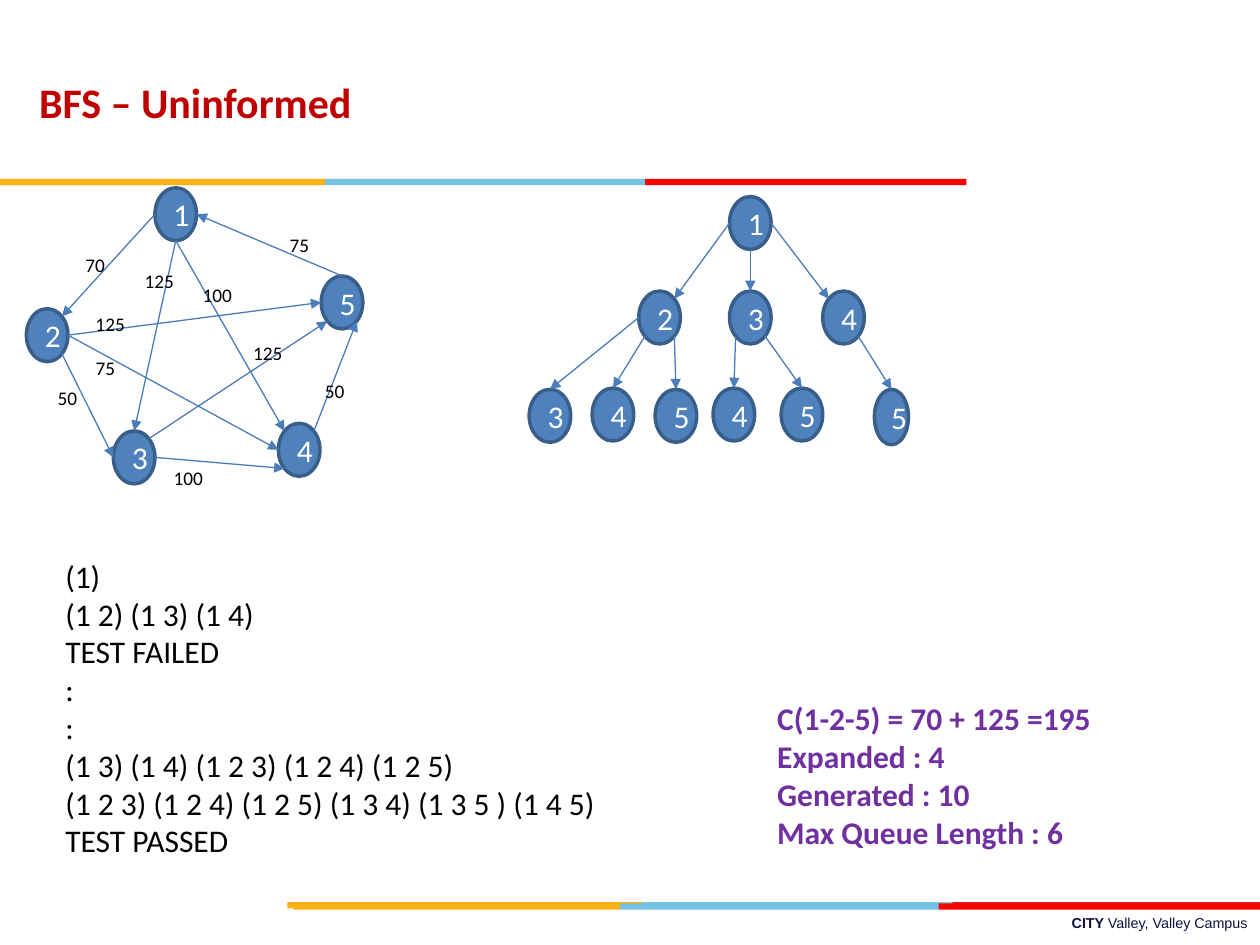
import math
from dataclasses import dataclass

from lxml import etree
from pptx import Presentation, util as u
from pptx.dml.color import RGBColor
from pptx.enum import shapes, text
from pptx.oxml.ns import qn


@dataclass(frozen=True)
class Theme:
    font: str = "Calibri"
    footer_font: str = "Arial"
    title_size: float = 24
    body_size: float = 18
    label_size: float = 11
    footer_size: float = 8.2
    title: str = "C00000"
    ink: str = "000000"
    result: str = "7030A0"
    footer: str = "101141"
    node: str = "4F81BD"
    node_text: str = "FFFFFF"
    node_line: str = "395E89"
    edge: str = "4A7DBA"
    gold: str = "FCB017"
    sky: str = "76C2E5"
    red: str = "FF0000"
    dark_red: str = "E31C24"


# Compass directions on a node's rim, in degrees clockwise from east
COMPASS = {"E": 0, "SE": 45, "S": 90, "SW": 135,
           "W": 180, "NW": 225, "N": 270, "NE": 315}
NODE_SIZE = (0.33, 0.42)


class SlideBuilder:
    def __init__(self, slide, theme):
        self.slide = slide
        self.theme = theme

    def style(self, run, size, color, bold=False, font=None):
        formats = {"size": u.Pt(size), "bold": bold,
                   "name": font or self.theme.font}
        for key, value in formats.items():
            setattr(run.font, key, value)
        run.font.color.rgb = RGBColor.from_string(color)

    def title(self, wording, box):
        heading = self.slide.shapes.title
        for side, value in zip(("left", "top", "width", "height"), box):
            setattr(heading, side, u.Inches(value))
        frame = heading.text_frame
        formats = {"margin_left": 0, "margin_top": 0, "margin_right": 0,
                   "margin_bottom": 0, "word_wrap": True,
                   "vertical_anchor": text.MSO_ANCHOR.MIDDLE}
        for key, value in formats.items():
            setattr(frame, key, value)
        line = frame.paragraphs[0]
        line.alignment = text.PP_ALIGN.LEFT
        line.line_spacing = 1.12
        run = line.add_run()
        run.text = wording
        self.style(run, self.theme.title_size, self.theme.title, True)

    def text(self, lines, box, size, color, align=text.PP_ALIGN.LEFT, font=None):
        """Each line is a list of (wording, bold) pieces."""
        frame = self.slide.shapes.add_textbox(*map(u.Inches, box)).text_frame
        frame.word_wrap = True
        frame.auto_size = text.MSO_AUTO_SIZE.SHAPE_TO_FIT_TEXT
        for index, pieces in enumerate(lines):
            line = frame.add_paragraph() if index else frame.paragraphs[0]
            line.alignment = align
            for wording, bold in pieces:
                run = line.add_run()
                run.text = wording
                self.style(run, size, color, bold, font)

    def shape(self, kind, box, fill):
        item = self.slide.shapes.add_shape(kind, *map(u.Inches, box))
        item.shadow.inherit = False
        item.fill.solid()
        item.fill.fore_color.rgb = RGBColor.from_string(fill)
        item.line.fill.background()
        return item

    def band(self, top, stops, colors):
        for left, right, color in zip(stops, stops[1:], colors):
            self.shape(shapes.MSO_SHAPE.RECTANGLE,
                       (left, top, right - left, 0.05), color)

    def node(self, number, box):
        circle = self.shape(shapes.MSO_SHAPE.OVAL, box, self.theme.node)
        circle.line.color.rgb = RGBColor.from_string(self.theme.node_line)
        circle.line.width = u.Pt(2)
        line = circle.text_frame.paragraphs[0]
        line.alignment = text.PP_ALIGN.CENTER
        run = line.add_run()
        run.text = number
        self.style(run, self.theme.body_size, self.theme.node_text)

    def arrow(self, start, end):
        edge = self.slide.shapes.add_connector(
            shapes.MSO_CONNECTOR.STRAIGHT, *map(u.Inches, start + end))
        edge.line.color.rgb = RGBColor.from_string(self.theme.edge)
        edge.line.width = u.Pt(0.75)
        outline = edge.line._get_or_add_ln()
        etree.SubElement(outline, qn("a:tailEnd"), type="triangle")
        etree.SubElement(edge._element.spPr, qn("a:effectLst"))

    def network(self, nodes, edges):
        """Nodes map a key ending in its number to a box; edges join rim points."""
        for key, box in nodes.items():
            self.node(key[-1], box)
        for source, leave, target, enter in edges:
            self.arrow(rim(nodes[source], leave), rim(nodes[target], enter))


def rim(box, direction):
    left, top, width, height = box
    angle = math.radians(COMPASS[direction])
    return (left + width / 2 * (1 + math.cos(angle)),
            top + height / 2 * (1 + math.sin(angle)))


def plain(*lines, bold=False):
    return [[(line, bold)] for line in lines]


def main():
    deck = Presentation()
    deck.slide_width, deck.slide_height = u.Inches(10), u.Inches(7.5)
    theme = Theme()
    page = SlideBuilder(deck.slides.add_slide(deck.slide_layouts[5]), theme)

    # Tricolour bands and footer
    page.text([[("CITY ", True), ("Valley, Valley Campus", False)]],
              (3.58, 7.21, 6.42, 0.24), theme.footer_size, theme.footer,
              text.PP_ALIGN.RIGHT, theme.footer_font)
    tricolour = (theme.gold, theme.sky, theme.red)
    page.band(7.16, (2.28, 5.1, 7.56, 10),
              (theme.gold, theme.sky, theme.dark_red))
    page.band(7.17, (2.33, 4.92, 7.45, 10), tricolour)
    page.band(1.42, (0, 2.58, 5.12, 7.67), tricolour)

    page.title("BFS – Uninformed", (0.31, 0.16, 6.92, 1.25))

    # Search trace
    page.text(plain("(1)", "(1 2) (1 3) (1 4)", "TEST FAILED", ":", ":",
                    "(1 3) (1 4) (1 2 3) (1 2 4) (1 2 5)",
                    "(1 2 3) (1 2 4) (1 2 5) (1 3 4) (1 3 5 ) (1 4 5)",
                    "TEST PASSED"),
              (0.42, 4.37, 5.06, 2.83), theme.body_size, theme.ink)

    # Weighted graph
    cities = {"1": (1.23, 1.49), "2": (0.21, 2.45), "3": (0.9, 3.42),
              "4": (2.21, 3.36), "5": (2.55, 2.19)}
    routes = [("1", "W", "2", "NE"), ("1", "S", "3", "N"), ("1", "S", "4", "NW"),
              ("2", "SE", "3", "W"), ("2", "E", "4", "W"), ("2", "E", "5", "W"),
              ("3", "E", "4", "SW"), ("3", "NE", "5", "SW"),
              ("4", "NE", "5", "SE"), ("5", "N", "1", "E")]
    page.network({key: at + NODE_SIZE for key, at in cities.items()}, routes)
    costs = [("70", 0.58, 1.96, 0.37), ("125", 1.05, 2.09, 0.49),
             ("100", 1.51, 2.2, 0.52), ("50", 0.36, 3.02, 0.37),
             ("75", 0.66, 2.78, 0.45), ("125", 0.66, 2.43, 0.47),
             ("50", 2.48, 2.96, 0.37), ("100", 1.28, 3.65, 0.52),
             ("125", 1.91, 2.66, 0.52), ("75", 2.2, 1.8, 0.37)]
    for cost, left, top, width in costs:
        page.text(plain(cost), (left, top, width, 0.29),
                  theme.label_size, theme.ink)

    # Search tree: each key is the route from the root
    visits = {"1": (5.79, 1.56), "12": (5.07, 2.31), "13": (5.79, 2.31),
              "14": (6.53, 2.31), "123": (4.2, 3.09), "124": (4.7, 3.08),
              "125": (5.2, 3.09), "134": (5.66, 3.08), "135": (6.2, 3.08)}
    tree = {key: at + NODE_SIZE for key, at in visits.items()}
    tree["145"] = (6.94, 3.09, 0.27, 0.44)
    leaving = {"12": "W", "13": "S", "14": "E", "123": "W", "124": "SW",
               "125": "SE", "134": "SW", "135": "SE", "145": "SE"}
    entering = {"12": "NE", "14": "NW"}
    page.network(tree, [(key[:-1], leave, key, entering.get(key, "N"))
                        for key, leave in leaving.items()])

    # Result summary
    page.text(plain("C(1-2-5) = 70 + 125 =195", "Expanded : 4",
                    "Generated : 10", "Max Queue Length : 6", bold=True),
              (6.07, 5.5, 3.93, 1.31), theme.body_size, theme.result)

    deck.save("out.pptx")


if __name__ == "__main__":
    main()
